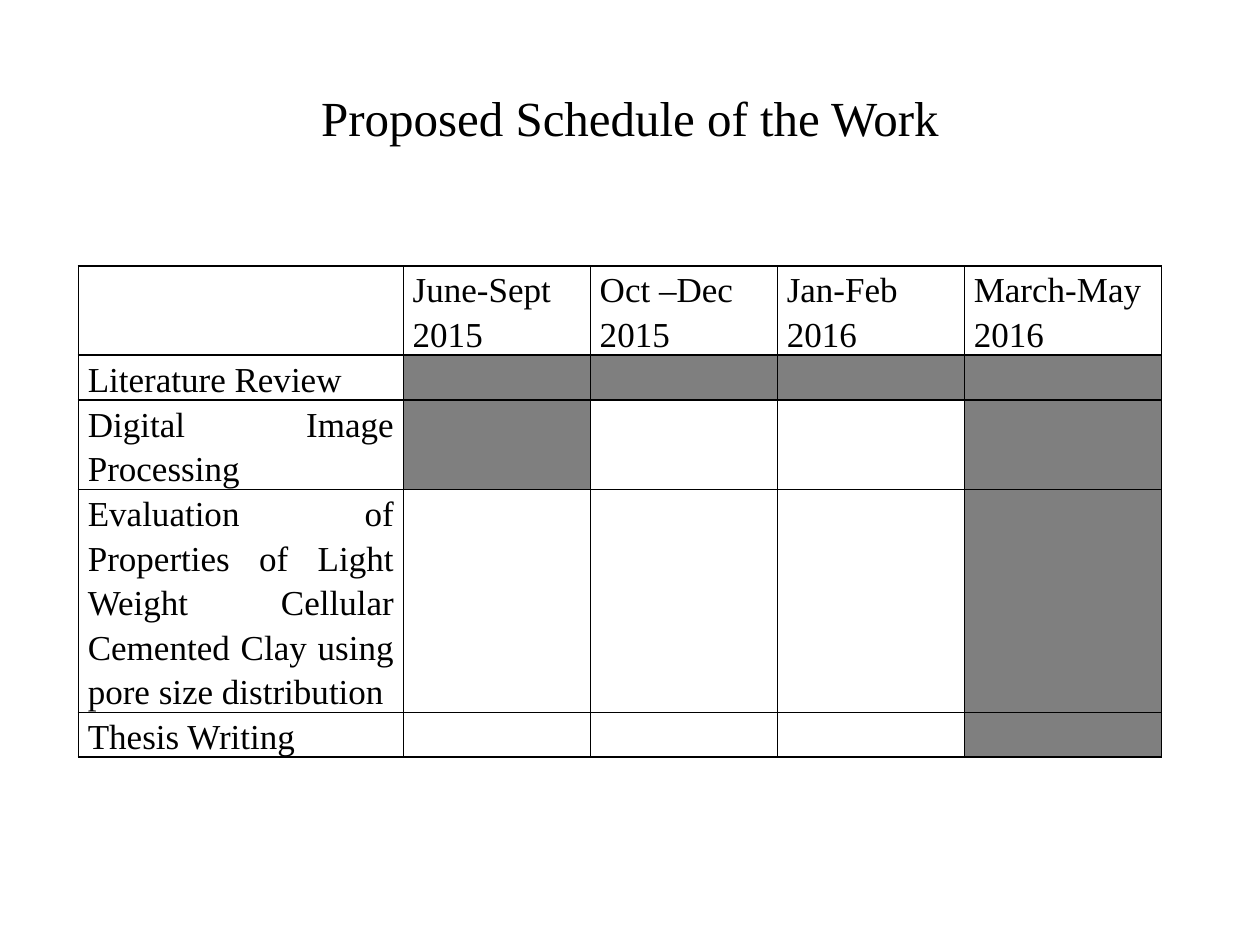
"""Build the proposed work schedule slide."""
import dataclasses

import lxml.etree
import pptx
import pptx.dml.color
import pptx.enum.text
import pptx.oxml.ns
import pptx.slide
import pptx.table
import pptx.text.text
import pptx.util

Cm = pptx.util.Cm
Align = pptx.enum.text.PP_ALIGN
Anchor = pptx.enum.text.MSO_ANCHOR

COLOURS = {"text": "000000", "border": "000000", "busy": "7F7F7F"}
FONT = "Times New Roman"
PERIODS = ("June-Sept 2015", "Oct –Dec 2015", "Jan-Feb 2016", "March-May 2016")
COLUMN_WIDTHS = (6.55, 3.77, 3.77, 3.77, 3.97)
HEADER_HEIGHT = 1.8


@dataclasses.dataclass(frozen=True)
class Task:
    """A table row with the indices of its shaded periods."""

    name: str
    height: float
    busy: tuple[int, ...]


TASKS = (
    Task("Literature Review", 0.9, (0, 1, 2, 3)),
    Task("Digital Image Processing", 1.8, (0, 3)),
    Task(
        "Evaluation of Properties of Light Weight Cellular Cemented Clay "
        "using pore size distribution",
        4.5,
        (3,),
    ),
    Task("Thesis Writing", 0.9, (3,)),
)


def colour(name: str) -> pptx.dml.color.RGBColor:
    return pptx.dml.color.RGBColor.from_string(COLOURS[name])


def add_span(para: pptx.text.text._Paragraph, text: str, size: int) -> None:
    span = para.add_run()
    span.text = text
    span.font.name = FONT
    span.font.size = pptx.util.Pt(size)
    span.font.color.rgb = colour("text")


def add_borders(cell: pptx.table._Cell) -> None:
    properties = cell._tc.get_or_add_tcPr()
    qn = pptx.oxml.ns.qn
    for position, side in enumerate(("lnL", "lnR", "lnT", "lnB")):
        line = lxml.etree.Element(qn(f"a:{side}"), w=str(pptx.util.Pt(1)))
        fill = lxml.etree.SubElement(line, qn("a:solidFill"))
        lxml.etree.SubElement(fill, qn("a:srgbClr"), val=COLOURS["border"])
        properties.insert(position, line)


def format_cell(cell: pptx.table._Cell, text: str, align: Align, busy: bool) -> None:
    cell.margin_left = cell.margin_right = Cm(0.19)
    cell.margin_top = cell.margin_bottom = 0
    if busy:
        cell.fill.solid()
        cell.fill.fore_color.rgb = colour("busy")
    else:
        cell.fill.background()
    add_borders(cell)
    if text:
        para = cell.text_frame.paragraphs[0]
        para.alignment = align
        para.line_spacing = 1.15
        add_span(para, text, 20)


def add_title(page: pptx.slide.Slide, text: str) -> None:
    title = page.shapes.title
    title.left, title.top = Cm(1.27), Cm(0.76)
    title.width, title.height = Cm(22.86), Cm(3.18)
    title.text_frame.vertical_anchor = Anchor.MIDDLE
    para = title.text_frame.paragraphs[0]
    para.alignment = Align.CENTER
    add_span(para, text, 28)


def add_schedule(page: pptx.slide.Slide) -> None:
    heights = (HEADER_HEIGHT, *(task.height for task in TASKS))
    table = page.shapes.add_table(
        len(heights), len(COLUMN_WIDTHS),
        Cm(1.58), Cm(5.36), Cm(sum(COLUMN_WIDTHS)), Cm(sum(heights)),
    ).table
    table.first_row = table.horz_banding = False
    for column, width in zip(table.columns, COLUMN_WIDTHS):
        column.width = Cm(width)
    for row, height in zip(table.rows, heights):
        row.height = Cm(height)
    for column, text in enumerate(("", *PERIODS)):
        format_cell(table.cell(0, column), text, Align.LEFT, False)
    for row, task in enumerate(TASKS, start=1):
        format_cell(table.cell(row, 0), task.name, Align.JUSTIFY, False)
        for period in range(len(PERIODS)):
            format_cell(table.cell(row, period + 1), "", Align.LEFT, period in task.busy)


def main() -> None:
    deck = pptx.Presentation()
    deck.slide_width, deck.slide_height = Cm(25.4), Cm(19.05)
    page = deck.slides.add_slide(deck.slide_layouts[5])
    add_title(page, "Proposed Schedule of the Work")
    add_schedule(page)
    deck.save("out.pptx")


if __name__ == "__main__":
    main()
